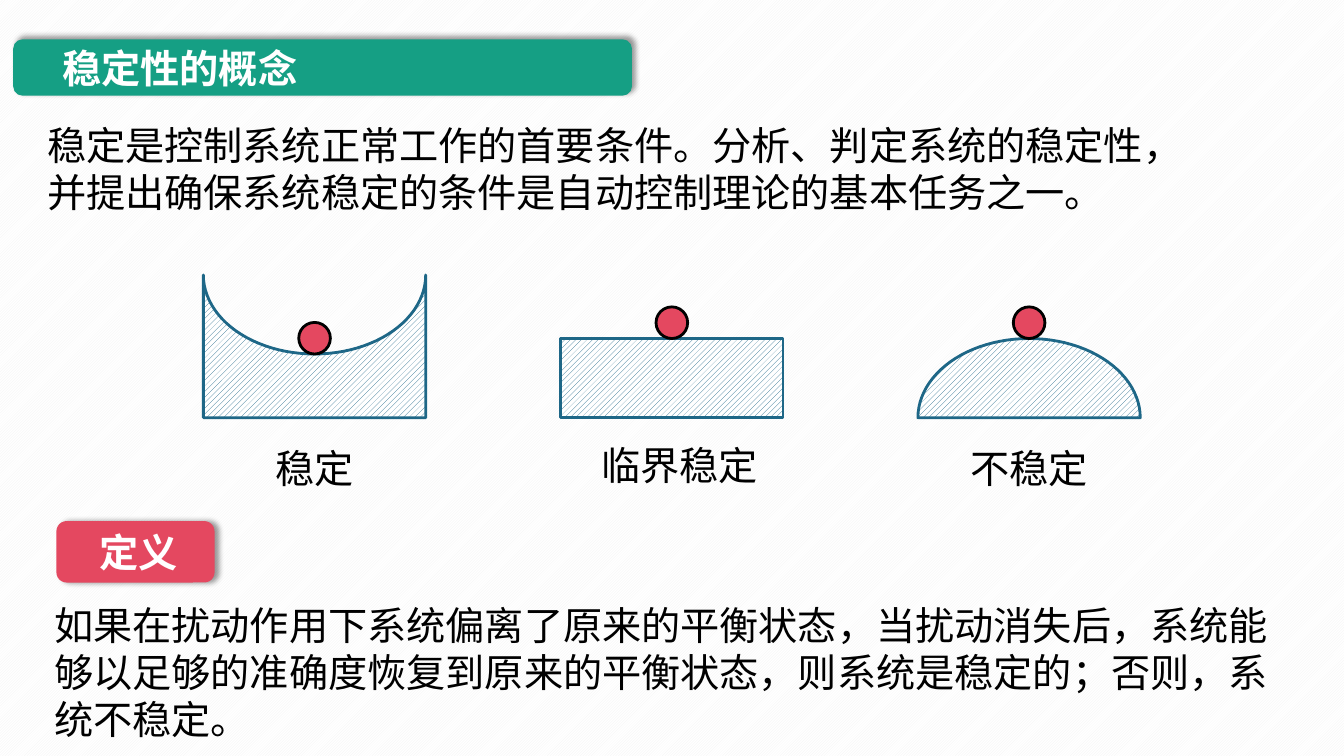
from math import cos, pi, sin

from lxml.etree import SubElement
from pptx import Presentation
from pptx.dml.color import RGBColor
from pptx.enum.dml import MSO_PATTERN as Pat
from pptx.enum.shapes import MSO_SHAPE as Form
from pptx.enum.text import MSO_ANCHOR as Anchor
from pptx.enum.text import MSO_AUTO_SIZE as Fit
from pptx.enum.text import PP_ALIGN as Align
from pptx.oxml.ns import qn
from pptx.util import Pt


def tint(code):
    return RGBColor.from_string(code)


class Deck:
    face, size = "Calibri", 28
    black, white = "000000", "FFFFFF"
    green, red, blue, grey = "159F84", "E44860", "1E6787", "F2F2F2"

    def __init__(self):
        self.pres = Presentation()
        self.pres.slide_width, self.pres.slide_height = Pt(960), Pt(540)
        self.slide = self.pres.slides.add_slide(self.pres.slide_layouts[5])
        self.shapes = self.slide.shapes
        self.hatch(self.slide.background.fill, Pat.LIGHT_UPWARD_DIAGONAL, self.grey)

    def hatch(self, fill, kind, fore):
        fill.patterned()
        fill.pattern = kind
        fill.fore_color.rgb = tint(fore)
        fill.back_color.rgb = tint(self.white)

    def label(self, shape, text, color, bold=False, face=face, align=Align.LEFT):
        frame = shape.text_frame
        frame.text = text
        frame.word_wrap = True
        for para in frame.paragraphs:
            para.alignment = align
            for run in para.runs:
                font = run.font
                font.name, font.size, font.bold = face, Pt(self.size), bold
                font.color.rgb = tint(color)

    def title(self, text, *box):
        head = self.shapes.title
        head.left, head.top, head.width, head.height = map(Pt, box)
        self.label(head, text, self.white, True, "Noto Sans CJK SC")
        head.text_frame.vertical_anchor = Anchor.TOP
        head.text_frame.auto_size = Fit.SHAPE_TO_FIT_TEXT
        return head

    def text(self, text, *box, align=Align.LEFT):
        note = self.shapes.add_textbox(*map(Pt, box))
        self.label(note, text, self.black, align=align)
        note.text_frame.auto_size = Fit.SHAPE_TO_FIT_TEXT

    def plate(self, color, angle, *box):
        plate = self.shapes.add_shape(Form.ROUNDED_RECTANGLE, *map(Pt, box))
        plate.fill.solid()
        plate.fill.fore_color.rgb = tint(color)
        plate.line.fill.background()
        plate.shadow.inherit = False
        glow = SubElement(
            plate.element.spPr.find(qn("a:effectLst")), qn("a:outerShdw"),
            blurRad=str(Pt(4)), dist=str(Pt(3)), dir=str(angle * 60000),
            algn="ctr", rotWithShape="0")
        shade = SubElement(glow, qn("a:srgbClr"), val=self.black)
        SubElement(shade, qn("a:alpha"), val="40000")
        return plate

    def edge(self, shape, color):
        shape.line.color.rgb = tint(color)
        shape.line.width = Pt(2)
        shape.shadow.inherit = False

    def ground(self, points):
        first, *rest = [(Pt(x), Pt(y)) for x, y in points]
        trace = self.shapes.build_freeform(*first)
        trace.add_line_segments(rest, close=True)
        self.block(trace.convert_to_shape())

    def slab(self, *box):
        self.block(self.shapes.add_shape(Form.RECTANGLE, *map(Pt, box)))

    def block(self, shape):
        self.hatch(shape.fill, Pat.WIDE_UPWARD_DIAGONAL, self.blue)
        self.edge(shape, self.blue)

    def ball(self, mid, base):
        wide = 22.6
        ball = self.shapes.add_shape(
            Form.OVAL, Pt(mid - wide / 2), Pt(base - wide), Pt(wide), Pt(wide))
        ball.fill.solid()
        ball.fill.fore_color.rgb = tint(self.red)
        self.edge(ball, self.black)


def arc(mid, base, wide, high, steps=48):
    turns = [pi * i / steps for i in range(steps + 1)]
    return [(mid - wide * cos(t), base + high * sin(t)) for t in turns]


def main():
    deck = Deck()
    head = deck.title("稳定性的概念", 37.4, 28.1, 306.7, 41)
    bar = deck.plate(deck.green, 315, 9.4, 28.1, 442, 40.3)
    head.element.addprevious(bar.element)
    deck.text("稳定是控制系统正常工作的首要条件。分析、判定系统的稳定性，"
              "并提出确保系统稳定的条件是自动控制理论的基本任务之一。",
              26.6, 82.8, 828, 75)

    half, rim, top, floor, deep = 79.4, 196.4, 241.8, 298.4, 56.5
    mids = [224.7 + 255.2 * i for i in range(3)]
    bowl, flat, dome = mids
    deck.ground(arc(bowl, rim, half, deep) + [(bowl + half, floor), (bowl - half, floor)])
    deck.slab(flat - half, top, 2 * half, floor - top)
    deck.ground(arc(dome, floor, half, top - floor))
    for mid, base in zip(mids, (rim + deep, top, top)):
        deck.ball(mid, base)

    names = (("稳定", bowl, 313.9, 82), ("临界稳定", flat + 5.6, 311.6, 134),
             ("不稳定", dome, 313.9, 104))
    for word, mid, high, wide in names:
        deck.text(word, mid - wide / 2, high, wide, 41, align=Align.CENTER)

    tag = deck.plate(deck.red, 0, 40.3, 372.2, 113, 43.9)
    deck.label(tag, "定义", deck.white, True)
    tag.text_frame.margin_left = Pt(28.8)
    tag.text_frame.vertical_anchor = Anchor.MIDDLE
    deck.text("如果在扰动作用下系统偏离了原来的平衡状态，当扰动消失后，系统能"
              "够以足够的准确度恢复到原来的平衡状态，则系统是稳定的；否则，系统不稳定。",
              31.7, 426.2, 901.4, 108.7)
    deck.pres.save("out.pptx")


if __name__ == "__main__":
    main()
